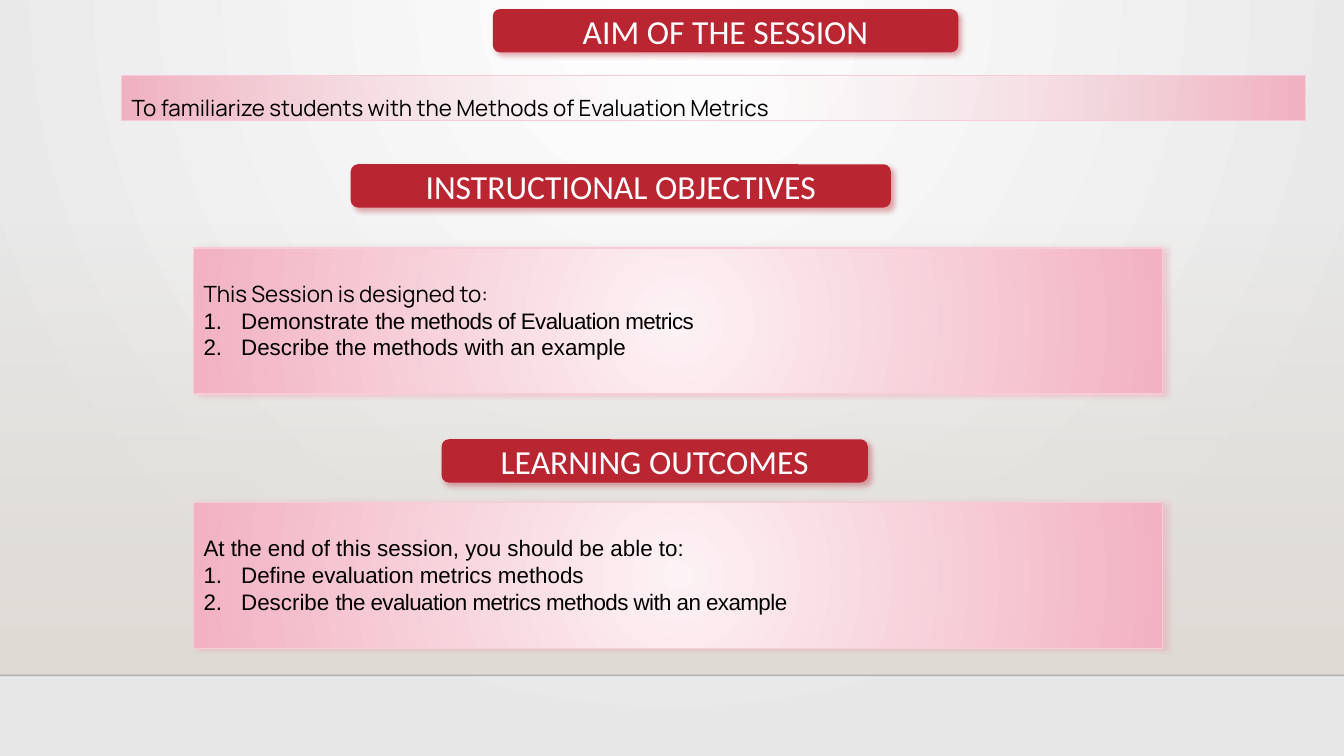
from lxml import etree
from pptx import Presentation
from pptx.dml.color import RGBColor
from pptx.enum.shapes import MSO_CONNECTOR, MSO_SHAPE
from pptx.enum.text import MSO_ANCHOR, MSO_AUTO_SIZE, PP_ALIGN
from pptx.oxml import parse_xml
from pptx.oxml.ns import nsdecls, qn
from pptx.util import Cm, Pt

COLORS = {
    "white": "FFFFFF", "black": "000000", "edge": "E7E7E7", "floor": "DFDBD5",
    "rule": "000001", "red": "BA2532", "pale": "FDF2F5", "pink": "F2B2C2",
    "border": "F7CCD6", "glow": "EE99AD",
}
WIDTH, HEIGHT = 33.87, 19.05
HEADING_HEIGHT = 1.09
INDENT = Cm(0.95)
CENTER = (50, 50, 50, 50)


def rgb(name):
    return RGBColor.from_string(COLORS[name])


def color_xml(name, alpha=100):
    return f'<a:srgbClr val="{COLORS[name]}"><a:alpha val="{alpha * 1000}"/></a:srgbClr>'


def set_gradient(holder, first, last, alpha=100, focus=None):
    """Swap the holder's empty fill for a circular or a downward gradient."""
    if focus:
        sides = " ".join(f'{side}="{value * 1000}"' for side, value in zip("ltrb", focus))
        course = f'<a:path path="circle"><a:fillToRect {sides}/></a:path>'
    else:
        course = '<a:lin ang="5400000" scaled="0"/>'
    gradient = parse_xml(
        f'<a:gradFill {nsdecls("a")} rotWithShape="1"><a:gsLst>'
        f'<a:gs pos="0">{color_xml(first, alpha)}</a:gs>'
        f'<a:gs pos="100000">{color_xml(last)}</a:gs></a:gsLst>{course}</a:gradFill>')
    holder.replace(holder.find(qn("a:noFill")), gradient)


def set_shadow(shape, color, angle):
    effects = shape._element.spPr.find(qn("a:effectLst"))
    effects.append(parse_xml(
        f'<a:outerShdw {nsdecls("a")} blurRad="{Pt(4)}" dist="{Pt(3)}" '
        f'dir="{angle * 60000}" algn="tl" rotWithShape="0">'
        f'{color_xml(color, 40)}</a:outerShdw>'))


def add_block(page, kind, box):
    shape = page.shapes.add_shape(kind, *(Cm(length) for length in box))
    shape.fill.background()
    shape.line.fill.background()
    shape.shadow.inherit = False
    return shape


def set_font(para, name, size, color):
    para.font.name = name
    para.font.size = Pt(size)
    para.font.color.rgb = rgb(color)


def add_backdrop(page, box):
    """Page gradient, with the shaded band and the rule below it."""
    page.background.fill.background()
    set_gradient(page._element.find(".//" + qn("p:bgPr")), "white", "edge",
                 focus=(43, 0, 43, 100))
    band = add_block(page, MSO_SHAPE.RECTANGLE, box)
    set_gradient(band._element.spPr, "floor", "floor", alpha=0)

    left, top, width, height = box
    rule = page.shapes.add_connector(MSO_CONNECTOR.STRAIGHT, Cm(left), Cm(top + height),
                                     Cm(left + width), Cm(top + height))
    rule.line.color.rgb = rgb("rule")
    rule.line.width = Pt(1)
    line_color = rule._element.spPr.find(".//" + qn("a:srgbClr"))
    etree.SubElement(line_color, qn("a:alpha")).set("val", "20000")
    etree.SubElement(rule._element.spPr, qn("a:effectLst"))


def add_heading(page, box, text):
    heading = add_block(page, MSO_SHAPE.ROUNDED_RECTANGLE, box)
    heading.fill.solid()
    heading.fill.fore_color.rgb = rgb("red")
    set_shadow(heading, "red", 45)
    frame = heading.text_frame
    frame.word_wrap = True
    frame.vertical_anchor = MSO_ANCHOR.MIDDLE
    para = frame.paragraphs[0]
    para.text = text
    para.alignment = PP_ALIGN.CENTER
    set_font(para, "Calibri", 24, "white")


def add_panel(page, box, intro, intro_font, spacing, items=(), alpha=100):
    """Pink panel: an intro line, then numbered items of (plain, tightened) text."""
    panel = add_block(page, MSO_SHAPE.RECTANGLE, box)
    set_gradient(panel._element.spPr, "pale", "pink", alpha, CENTER)
    panel.line.color.rgb = rgb("border")
    panel.line.width = Pt(0.75)
    if items:
        set_shadow(panel, "glow", 0)

    frame = panel.text_frame
    frame.word_wrap = True
    frame.auto_size = MSO_AUTO_SIZE.SHAPE_TO_FIT_TEXT
    frame.vertical_anchor = MSO_ANCHOR.TOP
    para = frame.paragraphs[0]
    para.text = intro
    para.alignment = PP_ALIGN.LEFT
    para.line_spacing = spacing
    set_font(para, intro_font, 16, "black")

    for plain, tight in items:
        para = frame.add_paragraph()
        para.alignment = PP_ALIGN.LEFT
        props = para._p.get_or_add_pPr()
        props.set("marL", str(INDENT))
        props.set("indent", str(-INDENT))
        etree.SubElement(props, qn("a:buFont")).set("typeface", "+mj-lt")
        etree.SubElement(props, qn("a:buAutoNum")).set("type", "arabicPeriod")
        set_font(para, "Arial", 16, "black")
        para.add_run().text = plain
        if tight:
            span = para.add_run()
            span.text = tight
            span.font._element.set("spc", "-40")


def main():
    deck = Presentation()
    deck.slide_width, deck.slide_height = Cm(WIDTH), Cm(HEIGHT)
    page = deck.slides.add_slide(deck.slide_layouts[6])
    add_backdrop(page, (0, 5.61, WIDTH, 11.41))

    # Aim
    add_heading(page, (12.42, 0.23, 11.73, HEADING_HEIGHT), "AIM OF THE SESSION")
    add_panel(page, (3.07, 1.91, 29.82, 1.14),
              "To familiarize students with the Methods of Evaluation Metrics",
              "Manrope", 1.5, alpha=0)

    # Objectives
    add_heading(page, (8.84, 4.14, 13.61, HEADING_HEIGHT), "INSTRUCTIONAL OBJECTIVES")
    add_panel(page, (4.88, 6.25, 24.41, 3.68), "This Session is designed to:", "Manrope", 2,
              [("Demonstrate ", "the methods of Evaluation metrics"),
               ("Describe the methods with an example", "")])

    # Outcomes
    add_heading(page, (11.13, 11.07, 10.74, HEADING_HEIGHT), "LEARNING OUTCOMES")
    add_panel(page, (4.88, 12.67, 24.41, 3.68),
              "At the end of this session, you should be able to:", "Arial", 2,
              [("Define evaluation metrics methods", ""),
               ("Describe ", "the evaluation metrics methods with an example")])

    deck.save("out.pptx")


if __name__ == "__main__":
    main()
